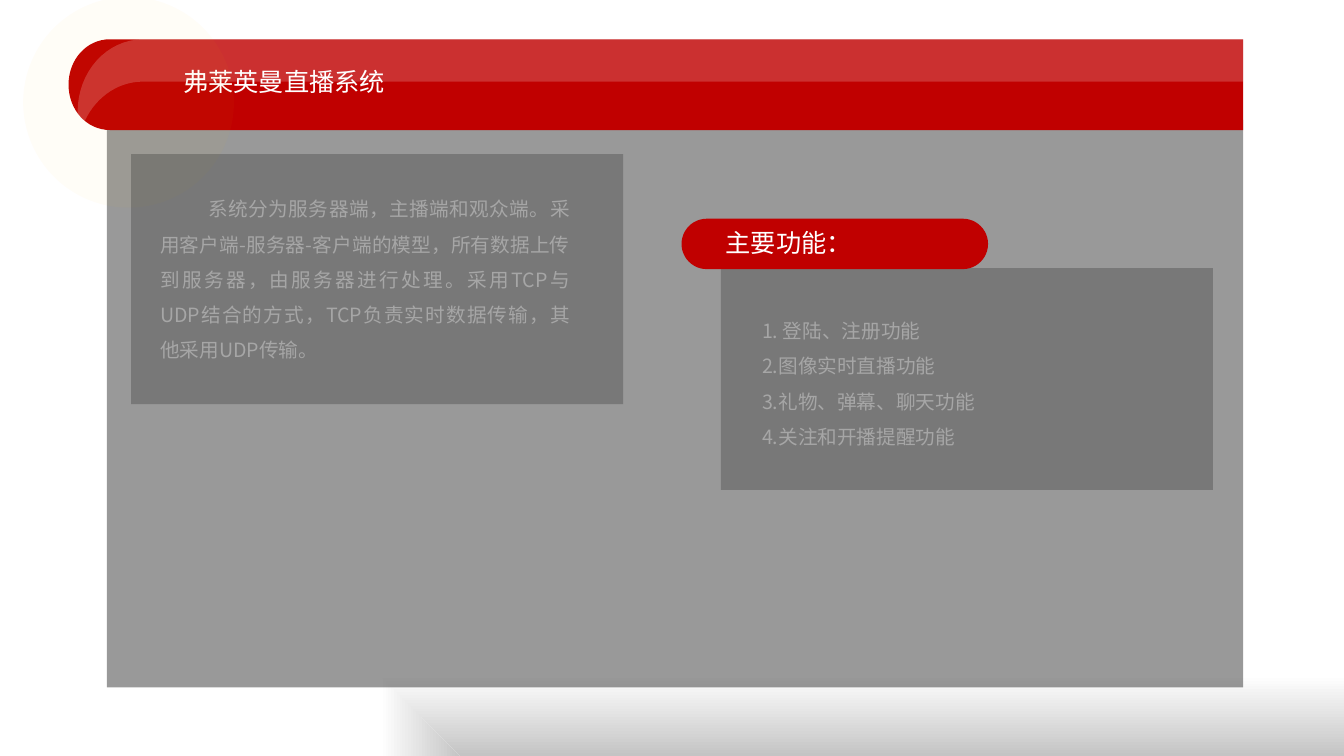
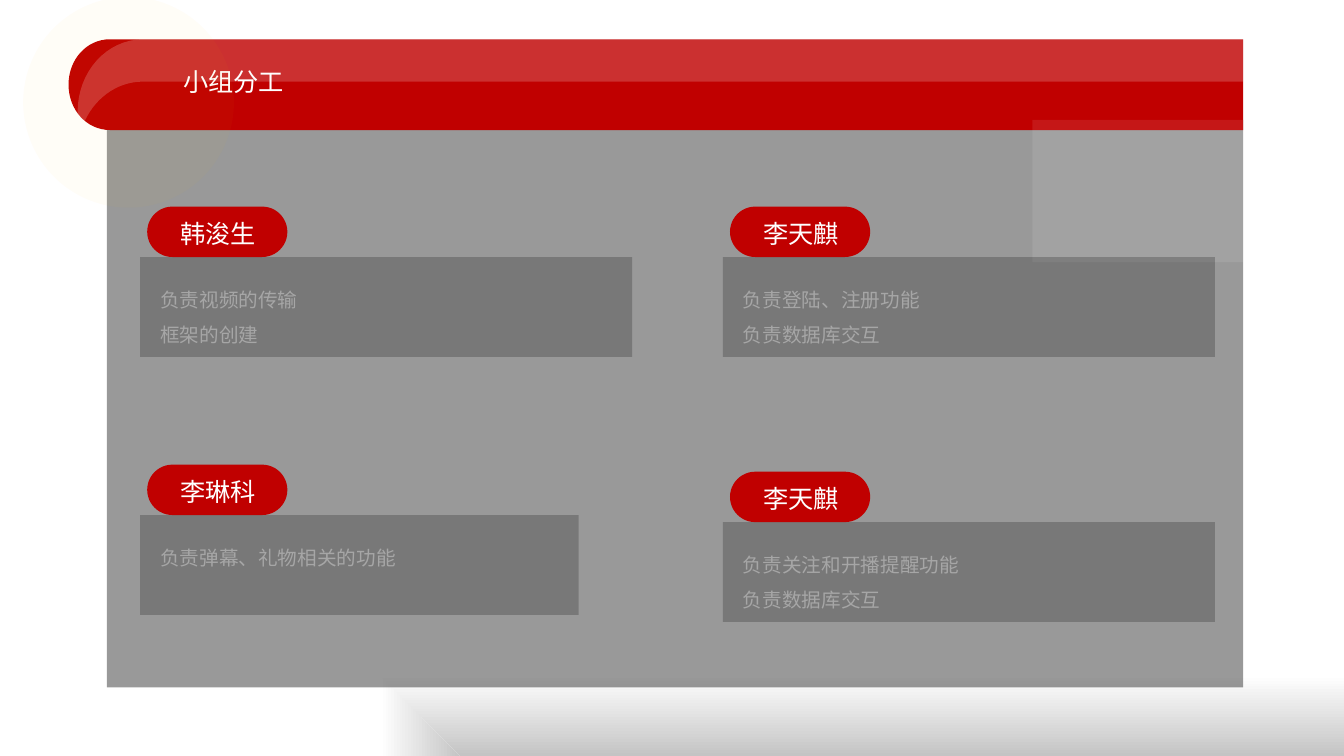
from pptx import Presentation
from pptx.dml.color import RGBColor
from pptx.enum.shapes import MSO_SHAPE
from pptx.enum.text import PP_ALIGN
from pptx.util import Pt
from lxml.etree import SubElement
from pptx.oxml.ns import qn

PX = 9144
FONT = "Noto Sans CJK SC"
BLACK = RGBColor(0x00, 0x00, 0x00)
WHITE = RGBColor(0xFF, 0xFF, 0xFF)
RED = RGBColor(0xC0, 0x00, 0x00)
AMBER = RGBColor(0xFF, 0xC0, 0x00)
SILVER = RGBColor(0xA6, 0xA6, 0xA6)
SHADE = RGBColor(0xC4, 0xC4, 0xC4)
RIGHT = 1233
MEMBERS = [
    (139, 255, 488, "韩浚生", ["负责视频的传输", "框架的创建"]),
    (717, 255, 488, "李天麒", ["负责登陆、注册功能", "负责数据库交互"]),
    (139, 511, 435, "李琳科", ["负责弹幕、礼物相关的功能"]),
    (717, 518, 488, "李天麒", ["负责关注和开播提醒功能", "负责数据库交互"]),
]


def px(*lengths):
    """Turn px lengths into EMU."""
    return [round(n * PX) for n in lengths]


def paint(sp, color, alpha=100):
    """Fill a shape with a colour of given opacity, without line or shadow."""
    sp.shadow.inherit = False
    sp.line.fill.background()
    sp.fill.solid()
    sp.fill.fore_color.rgb = color
    if alpha < 100:
        clr = sp._element.spPr.find(qn("a:solidFill"))[0]
        SubElement(clr, qn("a:alpha")).set("val", str(alpha * 1000))


def add_block(s, kind, box, color, alpha=100):
    """Add a preset shape."""
    sp = s.shapes.add_shape(kind, *px(*box))
    paint(sp, color, alpha)
    return sp


def add_box(s, box, color=BLACK, alpha=21):
    """Add a translucent rectangle."""
    return add_block(s, MSO_SHAPE.RECTANGLE, box, color, alpha)


def add_outline(s, points):
    """Add a closed outline through the points."""
    start, *rest = [px(*pt) for pt in points]
    fb = s.shapes.build_freeform(*start)
    fb.add_line_segments(rest, close=True)
    return fb.convert_to_shape()


def curve(p0, p1, p2, p3, steps=16):
    """Return points along a cubic curve, without its start."""
    pts = []
    for i in range(1, steps + 1):
        t = i / steps
        u = 1 - t
        pts.append(tuple(u**3 * a + 3 * u * u * t * b + 3 * u * t * t * c + t**3 * d
                         for a, b, c, d in zip(p0, p1, p2, p3)))
    return pts


def add_text(s, box, lines, size=14, color=SILVER, indent=0):
    """Add a text box; body text is justified and widely spaced."""
    tb = s.shapes.add_textbox(*px(*box))
    tf = tb.text_frame
    tf.word_wrap = True
    tf.text = "\n".join(lines)
    for p in tf.paragraphs:
        if size == 14:
            p.alignment = PP_ALIGN.JUSTIFY
            p.line_spacing = 1.5
        if indent:
            p._p.get_or_add_pPr().set("indent", str(indent * PX))
        for r in p.runs:
            r.font.size = Pt(size)
            r.font.color.rgb = color
            r.font.name = FONT
            SubElement(r._r.get_or_add_rPr(), qn("a:ea")).set("typeface", FONT)


def add_heading(s, x, y, text):
    """Add a white one-line heading."""
    add_text(s, (x, y, 25 * len(text) + 40, 40), [text], 18, WHITE)


def add_pill(s, box):
    """Add a red pill."""
    sp = add_block(s, MSO_SHAPE.ROUNDED_RECTANGLE, box, RED)
    sp.adjustments[0] = 0.5


def add_shade(s, points, angle):
    """Add an outline that fades from white to grey."""
    sp = add_outline(s, points)
    paint(sp, WHITE)
    sp.fill.gradient()
    sp.fill.gradient_angle = angle
    for stop, color, pos in zip(sp.fill.gradient_stops, (WHITE, SHADE), (0, 1)):
        stop.color.rgb = color
        stop.position = pos


def add_header(s, title):
    """Add the red band with its title and gloss."""
    band = [(109, 39), (RIGHT, 39), (RIGHT, 129), (109, 129)]
    band += curve((109, 129), (86, 129), (68, 109), (68, 84))
    band += curve((68, 84), (68, 59), (86, 39), (109, 39))[:-1]
    paint(add_outline(s, band), RED)
    add_heading(s, 172, 61, title)
    gloss = [(142, 39), (RIGHT, 39), (RIGHT, 81), (142, 81)]
    gloss += curve((142, 81), (115, 81), (92, 99), (82, 125))
    gloss += [(80, 132), (78, 126)]
    gloss += curve((78, 126), (77, 121), (77, 116), (77, 111))
    gloss += curve((77, 111), (77, 71), (106, 39), (142, 39))[:-1]
    paint(add_outline(s, gloss), WHITE, 19)


def add_frame(prs, title):
    """Add a slide with the shared backdrop, panel, header and glow."""
    s = prs.slides.add_slide(prs.slide_layouts[6])
    add_shade(s, [(377, 670), (457, 750), (377, 750)], 0)
    add_shade(s, [(377, 670), (1333, 670), (1333, 750), (457, 750)], 270)
    panel = add_block(s, MSO_SHAPE.ROUNDED_RECTANGLE, (106, 119, 1127, 563), BLACK, 40)
    panel.adjustments[0] = 0
    add_header(s, title)
    add_block(s, MSO_SHAPE.OVAL, (23, -3, 209, 209), AMBER, 3)
    return s


def add_member(s, x, y, w, name, tasks):
    """Add a member's box of tasks under a name pill."""
    add_box(s, (x, y, w, 99))
    add_text(s, (x + 10, y + 14, 426, 81), tasks)
    add_pill(s, (x + 7, y - 50, 139, 50))
    add_heading(s, x + 30, y - 43, name)


def build_system(prs):
    """Build the slide on the system and its functions."""
    s = add_frame(prs, "弗莱英曼直播系统")
    add_box(s, (130, 153, 488, 248))
    add_text(s, (149, 179, 426, 222), [
        "系统分为服务器端，主播端和观众端。采用客户端-服务器-客户端的模型，"
        "所有数据上传到服务器，由服务器进行处理。采用TCP与UDP结合的方式，"
        "TCP负责实时数据传输，其他采用UDP传输。"], indent=48)
    add_box(s, (715, 266, 488, 220))
    add_text(s, (746, 300, 426, 151), [
        "1. 登陆、注册功能", "2.图像实时直播功能",
        "3.礼物、弹幕、聊天功能", "4.关注和开播提醒功能"])
    add_pill(s, (676, 217, 304, 50))
    add_heading(s, 710, 221, "主要功能：")


def build_team(prs):
    """Build the slide on the division of work."""
    s = add_frame(prs, "小组分工")
    add_box(s, (1024, 119, 209, 141), WHITE, 9)
    for member in MEMBERS:
        add_member(s, *member)


def main():
    """Build and save the presentation."""
    prs = Presentation()
    prs.slide_width, prs.slide_height = px(1333, 750)
    build_system(prs)
    build_team(prs)
    prs.save("out.pptx")


if __name__ == "__main__":
    main()
